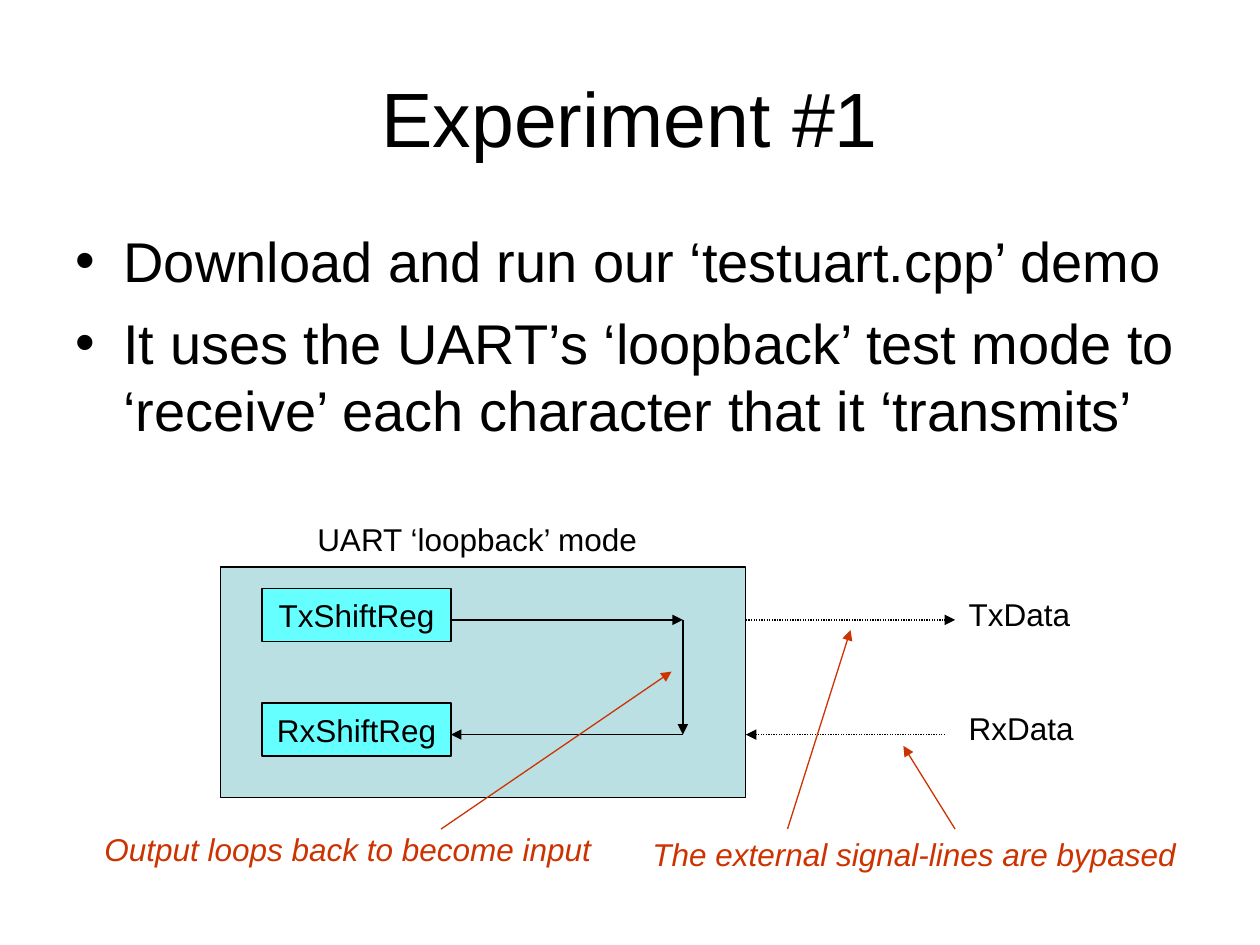
from pptx import Presentation
from pptx.dml.color import RGBColor
from pptx.enum.dml import MSO_LINE
from pptx.enum.shapes import MSO_CONNECTOR, MSO_SHAPE
from pptx.enum.text import MSO_ANCHOR, MSO_AUTO_SIZE, PP_ALIGN
from pptx.oxml.ns import qn
from pptx.util import Inches, Pt
from lxml.etree import SubElement

BLACK = RGBColor(0x00, 0x00, 0x00)
WHITE = RGBColor(0xFF, 0xFF, 0xFF)
PALE_TEAL = RGBColor(0xBB, 0xE0, 0xE3)
CYAN = RGBColor(0x66, 0xFF, 0xFF)
RUST = RGBColor(0xCC, 0x33, 0x00)


class SlideBuilder:
    font_name = "Arial"
    label_size = 18
    line_width = Pt(0.75)

    def __init__(self, slide):
        self.slide = slide
        slide.background.fill.solid()
        slide.background.fill.fore_color.rgb = WHITE

    def style(self, paragraph, size, color=BLACK, italic=False):
        font = paragraph.font
        font.name = self.font_name
        font.size = Pt(size)
        font.color.rgb = color
        font.italic = italic

    def place(self, placeholder, left, top, width, height, anchor):
        placeholder.left, placeholder.top = Inches(left), Inches(top)
        placeholder.width, placeholder.height = Inches(width), Inches(height)
        frame = placeholder.text_frame
        frame.word_wrap = True
        frame.auto_size = MSO_AUTO_SIZE.NONE
        frame.vertical_anchor = anchor
        return frame

    def title(self, text, *bounds):
        frame = self.place(self.slide.shapes.title, *bounds, MSO_ANCHOR.MIDDLE)
        frame.text = text
        heading = frame.paragraphs[0]
        heading.alignment = PP_ALIGN.CENTER
        self.style(heading, 44)

    def bullets(self, items, *bounds):
        frame = self.place(self.slide.placeholders[1], *bounds, MSO_ANCHOR.TOP)
        frame.text = "\n".join(items)
        for index, item in enumerate(frame.paragraphs):
            item.space_before = Pt(8 if index else 0)
            properties = item._p.get_or_add_pPr()
            properties.set("marL", str(Inches(0.38)))
            properties.set("indent", str(Inches(-0.38)))
            SubElement(properties, qn("a:buFont"), typeface=self.font_name)
            SubElement(properties, qn("a:buChar"), char="•")
            self.style(item, 32)

    def box(self, left, top, width, height, fill, text=""):
        block = self.slide.shapes.add_shape(
            MSO_SHAPE.RECTANGLE, Inches(left), Inches(top), Inches(width), Inches(height))
        block.shadow.inherit = False
        block.fill.solid()
        block.fill.fore_color.rgb = fill
        block.line.color.rgb = BLACK
        block.line.width = self.line_width
        frame = block.text_frame
        frame.word_wrap = False
        frame.vertical_anchor = MSO_ANCHOR.MIDDLE
        frame.text = text
        frame.paragraphs[0].alignment = PP_ALIGN.CENTER
        self.style(frame.paragraphs[0], self.label_size)

    def label(self, text, left, top, width, color=BLACK, italic=False):
        frame = self.slide.shapes.add_textbox(
            Inches(left), Inches(top), Inches(width), Inches(0.4)).text_frame
        frame.word_wrap = False
        frame.auto_size = MSO_AUTO_SIZE.NONE
        frame.text = text
        self.style(frame.paragraphs[0], self.label_size, color, italic)

    def arrow(self, start, end, color=BLACK, dash=None):
        connector = self.slide.shapes.add_connector(
            MSO_CONNECTOR.STRAIGHT, *map(Inches, start + end))
        connector.line.color.rgb = color
        connector.line.width = self.line_width
        if dash:
            connector.line.dash_style = dash
        SubElement(connector.line._get_or_add_ln(), qn("a:tailEnd"), type="triangle")
        SubElement(connector._element.spPr, qn("a:effectLst"))


def main():
    presentation = Presentation()
    presentation.slide_width = Inches(10)
    presentation.slide_height = Inches(7.5)
    builder = SlideBuilder(presentation.slides.add_slide(presentation.slide_layouts[1]))

    builder.title("Experiment #1", 0.5, 0.3, 9, 1.25)
    builder.bullets([
        "Download and run our ‘testuart.cpp’ demo",
        "It uses the UART’s ‘loopback’ test mode to ‘receive’ each character that it ‘transmits’",
    ], 0.5, 1.75, 9, 4.95)

    tx_line, rx_line = 4.92, 5.83
    register_right, loop_x, uart_right = 3.58, 5.42, 5.92

    builder.box(1.75, 4.5, 4.17, 1.83, PALE_TEAL)
    builder.label("UART ‘loopback’ mode", 2.42, 4.08, 2.8)
    for prefix, line_y in (("Tx", tx_line), ("Rx", rx_line)):
        top = line_y - 0.25
        builder.box(2.08, top, 1.5, 0.42, CYAN, f"{prefix}ShiftReg")
        builder.label(f"{prefix}Data", 7.59, top, 1.1)

    builder.arrow((uart_right, tx_line), (7.58, tx_line), dash=MSO_LINE.ROUND_DOT)
    builder.arrow((7.5, rx_line), (uart_right, rx_line), dash=MSO_LINE.ROUND_DOT)
    builder.arrow((register_right, tx_line), (loop_x, tx_line))
    builder.arrow((loop_x, tx_line), (loop_x, rx_line))
    builder.arrow((loop_x, rx_line), (register_right, rx_line))

    builder.label("Output loops back to become input", 0.73, 6.54, 4.12, RUST, True)
    builder.label("The external signal-lines are bypased", 5.08, 6.58, 4.42, RUST, True)
    for start_x, target in ((3.5, (5.33, 5.33)), (6.25, (6.75, 5)), (7.58, (7.17, 5.92))):
        builder.arrow((start_x, 6.58), target, RUST)

    presentation.save("out.pptx")


if __name__ == "__main__":
    main()
